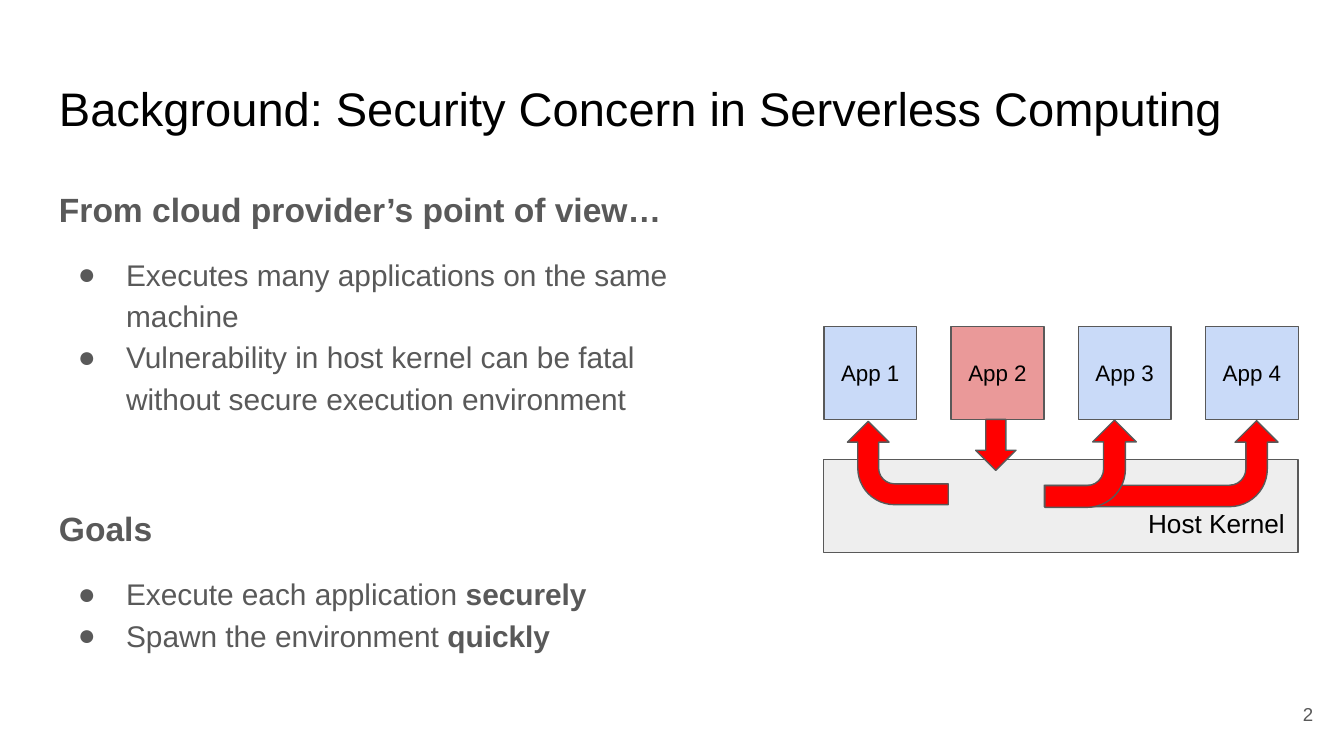
from lxml.etree import SubElement
from pptx import Presentation
from pptx.dml.color import RGBColor
from pptx.enum.shapes import MSO_SHAPE as Shape
from pptx.enum.text import MSO_ANCHOR as Anchor, PP_ALIGN as Align
from pptx.oxml.ns import qn
from pptx.util import Inches, Pt

COLORS = {
    "black": "000000",
    "gray": "595959",
    "kernel": "EEEEEE",
    "app": "C9DAF8",
    "attacker": "EA9999",
    "attack": "FF0000",
}
FONT = "Arial"
PAGE_WIDTH = 10
PAGE_HEIGHT = PAGE_WIDTH * 9 / 16
APP_SIZE = 0.69
APP_LEFT, APP_TOP = 6.13, 2.43
KERNEL_WIDTH = 3.53
APP_FILLS = ("app", "attacker", "app", "app")
APP_STEP = (KERNEL_WIDTH - APP_SIZE) / (len(APP_FILLS) - 1)
BEND = (0.25, 0.25, 0.25, 0.44)


def color(name):
    return RGBColor.from_string(COLORS[name])


def add_span(para, text, size, ink, bold=False):
    span = para.add_run()
    span.text = text
    span.font.name = FONT
    span.font.size = Pt(size)
    span.font.bold = bold
    span.font.color.rgb = color(ink)


def set_frame(frame, anchor):
    frame.word_wrap = True
    frame.vertical_anchor = anchor
    frame.margin_left = frame.margin_right = Inches(0.1)
    frame.margin_top = frame.margin_bottom = Inches(0.1)


def add_text(page, area, text, size, ink, anchor=Anchor.TOP, align=Align.LEFT):
    box = page.shapes.add_textbox(*map(Inches, area))
    set_frame(box.text_frame, anchor)
    para = box.text_frame.paragraphs[0]
    para.alignment = align
    add_span(para, text, size, ink)


def add_shape(page, kind, area, fill):
    shape = page.shapes.add_shape(kind, *map(Inches, area))
    shape.shadow.inherit = False
    shape.fill.solid()
    shape.fill.fore_color.rgb = color(fill)
    shape.line.color.rgb = color("gray")
    shape.line.width = Pt(0.75)
    return shape


def add_block(page, area, fill, text, size, anchor, align):
    block = add_shape(page, Shape.RECTANGLE, area, fill)
    set_frame(block.text_frame, anchor)
    para = block.text_frame.paragraphs[0]
    para.alignment = align
    add_span(para, text, size, "black")


def add_bent_arrow(page, area, rotation, flipped):
    arrow = add_shape(page, Shape.BENT_ARROW, area, "attack")
    for index, value in enumerate(BEND):
        arrow.adjustments[index] = value
    arrow.rotation = rotation
    if flipped:
        arrow.element.spPr.get_or_add_xfrm().set("flipH", "1")


def add_bullet(para):
    props = para._p.get_or_add_pPr()
    props.set("marL", str(Inches(0.5)))
    props.set("indent", str(Inches(-0.36)))
    ink = SubElement(props, qn("a:buClr"))
    SubElement(ink, qn("a:srgbClr"), val=COLORS["gray"])
    SubElement(props, qn("a:buFont"), typeface=FONT)
    SubElement(props, qn("a:buChar"), char="●")


def add_section(frame, heading, gap, bullets):
    para = frame.add_paragraph() if gap else frame.paragraphs[0]
    para.line_spacing = 1.15
    para.space_before = Pt(gap)
    add_span(para, heading, 18, "gray", bold=True)
    for index, (plain, strong) in enumerate(bullets):
        para = frame.add_paragraph()
        add_bullet(para)
        para.line_spacing = 1.15
        para.space_before = Pt(0 if index else 12)
        add_span(para, plain, 16, "gray")
        if strong:
            add_span(para, strong, 16, "gray", bold=True)


def add_body(page):
    box = page.shapes.add_textbox(*map(Inches, (0.34, 1.26, 5.18, 3.74)))
    frame = box.text_frame
    set_frame(frame, Anchor.TOP)
    add_section(frame, "From cloud provider’s point of view…", 0, [
        ("Executes many applications on the same machine", ""),
        ("Vulnerability in host kernel can be fatal without secure "
         "execution environment", ""),
    ])
    add_section(frame, "Goals", 46, [
        ("Execute each application ", "securely"),
        ("Spawn the environment ", "quickly"),
    ])


def add_diagram(page):
    add_block(page, (APP_LEFT, 3.42, KERNEL_WIDTH, APP_SIZE), "kernel",
              "Host Kernel", 14, Anchor.BOTTOM, Align.RIGHT)
    for index, fill in enumerate(APP_FILLS):
        area = (APP_LEFT + index * APP_STEP, APP_TOP, APP_SIZE, APP_SIZE)
        add_block(page, area, fill, f"App {index + 1}", 12,
                  Anchor.MIDDLE, Align.CENTER)
    add_bent_arrow(page, (6.37, 3.07, 0.62, 0.75), 270, False)
    add_bent_arrow(page, (8.32, 2.58, 0.64, 1.74), 90, True)
    add_shape(page, Shape.DOWN_ARROW, (7.26, 3.12, 0.3, 0.38), "attack")
    add_bent_arrow(page, (7.79, 3.11, 0.65, 0.68), 90, True)


def main():
    deck = Presentation()
    deck.slide_width = Inches(PAGE_WIDTH)
    deck.slide_height = Inches(PAGE_HEIGHT)
    page = deck.slides.add_slide(deck.slide_layouts[6])
    add_body(page)
    add_text(page, (0.34, 0.49, 9.32, 0.63),
             "Background: Security Concern in Serverless Computing",
             25.2, "black")
    add_diagram(page)
    add_text(page, (9.27, 5.1, 0.6, 0.43), "2", 10, "gray",
             Anchor.MIDDLE, Align.RIGHT)
    deck.save("out.pptx")


if __name__ == "__main__":
    main()
